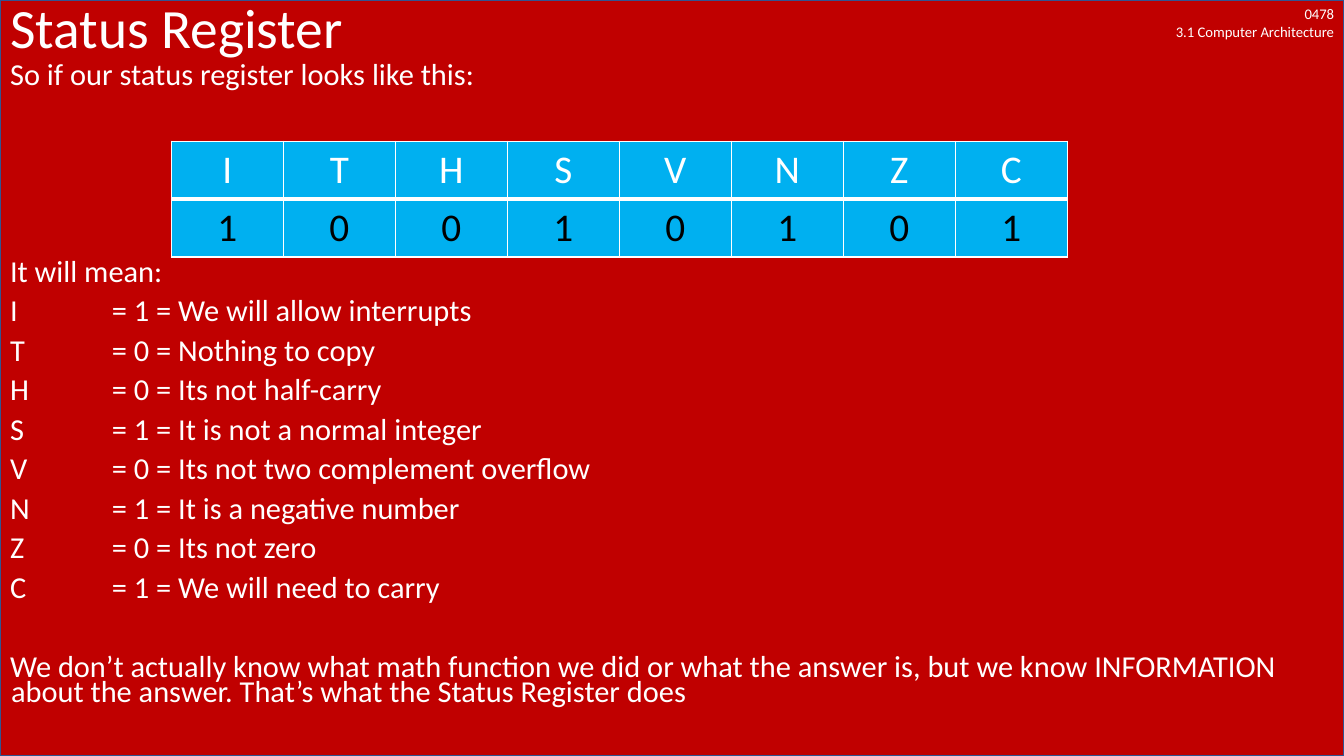
from dataclasses import dataclass

from lxml import etree
from pptx import Presentation
from pptx.dml.color import RGBColor
from pptx.enum.shapes import MSO_SHAPE
from pptx.enum.text import MSO_ANCHOR, MSO_AUTO_SIZE, PP_ALIGN
from pptx.oxml.ns import qn
from pptx.util import Inches, Pt

RECTANGLE = MSO_SHAPE.RECTANGLE
MIDDLE, TOP = MSO_ANCHOR.MIDDLE, MSO_ANCHOR.TOP
NO_AUTOSIZE = MSO_AUTO_SIZE.NONE
LEFT, CENTER, RIGHT = PP_ALIGN.LEFT, PP_ALIGN.CENTER, PP_ALIGN.RIGHT

RED = RGBColor(0xC0, 0x00, 0x00)
NAVY = RGBColor(0x32, 0x54, 0x91)
SKY = RGBColor(0x00, 0xB0, 0xF0)
WHITE = RGBColor(0xFF, 0xFF, 0xFF)
BLACK = RGBColor(0x00, 0x00, 0x00)

FONT = "Calibri"
WIDTH, HEIGHT = Inches(13.33), Inches(7.5)
COLUMN, ROW = WIDTH / 120, HEIGHT / 75
HANGING = Inches(0.01)
MEANING_TAB = Inches(1)
HEADER_BORDERS = {"lnL": 1, "lnR": 1, "lnT": 1, "lnB": 3}
VALUE_BORDERS = {"lnL": 1, "lnR": 1, "lnT": 1, "lnB": 1}


@dataclass(frozen=True)
class Area:
    """Position and size in grid columns and rows."""
    column: float
    row: float
    columns: float
    rows: float

    def box(self) -> tuple[int, int, int, int]:
        return (round(self.column * COLUMN), round(self.row * ROW),
                round(self.columns * COLUMN), round(self.rows * ROW))


@dataclass(frozen=True)
class Flag:
    letter: str
    value: int
    meaning: str


@dataclass(frozen=True)
class BodyLine:
    text: str
    space_before: float = 10


FLAGS = [
    Flag("I", 1, "We will allow interrupts"),
    Flag("T", 0, "Nothing to copy"),
    Flag("H", 0, "Its not half-carry"),
    Flag("S", 1, "It is not a normal integer"),
    Flag("V", 0, "Its not two complement overflow"),
    Flag("N", 1, "It is a negative number"),
    Flag("Z", 0, "Its not zero"),
    Flag("C", 1, "We will need to carry"),
]
BODY_LINES = [
    BodyLine("So if our status register looks like this:", 0),
    BodyLine("It will mean:", 122),
    *(BodyLine(f"{flag.letter} \t= {flag.value} = {flag.meaning}") for flag in FLAGS),
    BodyLine("We don’t actually know what math function we did or what the answer is, "
             "but we know INFORMATION about the answer. "
             "That’s what the Status Register does", 38),
]

SLIDE_AREA = Area(0, 0, 120, 75)
LABEL_AREA = Area(101.1, 0, 18.9, 4.5)
TITLE_AREA = Area(0, 0, 120, 6)
BODY_AREA = Area(0, 6, 120, 69)
TABLE_AREA = Area(15.3, 14, 80, 11.5)


def apply_format(target, values: dict) -> None:
    for name, value in values.items():
        setattr(target, name, value)


def place(shape, area: Area) -> None:
    apply_format(shape, dict(zip(("left", "top", "width", "height"), area.box())))


def write(paragraph, text: str, size: float, color: RGBColor, paragraph_format: dict) -> None:
    apply_format(paragraph, paragraph_format)
    paragraph.text = text
    for run in paragraph.runs:
        apply_format(run.font, {"name": FONT, "size": Pt(size)})
        run.font.color.rgb = color


def set_list_format(paragraph) -> None:
    """Remove the bullet, hang the first line and set the tab for the meanings."""
    properties = paragraph._p.get_or_add_pPr()
    for name, value in {"marL": HANGING, "indent": -HANGING, "defTabSz": MEANING_TAB}.items():
        properties.set(name, str(int(value)))
    etree.SubElement(properties, qn("a:buNone"))
    tabs = etree.SubElement(properties, qn("a:tabLst"))
    etree.SubElement(tabs, qn("a:tab"), pos=str(int(MEANING_TAB)), algn="l")


def set_borders(cell, widths: dict[str, float]) -> None:
    properties = cell._tc.get_or_add_tcPr()
    for position, (side, width) in enumerate(widths.items()):
        line = etree.Element(qn(f"a:{side}"), w=str(int(Pt(width))))
        fill = etree.SubElement(line, qn("a:solidFill"))
        etree.SubElement(fill, qn("a:srgbClr"), val=str(WHITE))
        properties.insert(position, line)


def add_backdrop(slide) -> None:
    backdrop = slide.shapes.add_shape(RECTANGLE, *SLIDE_AREA.box())
    backdrop.shadow.inherit = False
    backdrop.fill.solid()
    backdrop.fill.fore_color.rgb = RED
    backdrop.line.color.rgb = NAVY
    backdrop.line.width = Pt(1)
    slide.shapes.title.element.addprevious(backdrop.element)


def add_course_label(slide) -> None:
    label = slide.shapes.add_textbox(*LABEL_AREA.box())
    label.text_frame.word_wrap = True
    write(label.text_frame.paragraphs[0], "0478\n3.1 Computer Architecture", 10.5, WHITE,
          {"alignment": RIGHT})


def fill_title(slide) -> None:
    title = slide.shapes.title
    place(title, TITLE_AREA)
    apply_format(title.text_frame, {"auto_size": NO_AUTOSIZE, "vertical_anchor": MIDDLE})
    write(title.text_frame.paragraphs[0], "Status Register", 39.6, WHITE,
          {"alignment": LEFT, "line_spacing": 0.9})


def fill_body(slide) -> None:
    body = slide.placeholders[1]
    place(body, BODY_AREA)
    frame = body.text_frame
    apply_format(frame, {"auto_size": NO_AUTOSIZE, "vertical_anchor": TOP})
    for index, line in enumerate(BODY_LINES):
        paragraph = frame.add_paragraph() if index else frame.paragraphs[0]
        set_list_format(paragraph)
        write(paragraph, line.text, 21.7, WHITE,
              {"alignment": LEFT, "line_spacing": 0.7, "space_before": Pt(line.space_before)})


def add_register_table(slide) -> None:
    table = slide.shapes.add_table(2, len(FLAGS), *TABLE_AREA.box()).table
    for column, flag in enumerate(FLAGS):
        entries = ((flag.letter, WHITE, HEADER_BORDERS), (str(flag.value), BLACK, VALUE_BORDERS))
        for row, (text, color, borders) in enumerate(entries):
            cell = table.cell(row, column)
            cell.fill.solid()
            cell.fill.fore_color.rgb = SKY
            set_borders(cell, borders)
            write(cell.text_frame.paragraphs[0], text, 28, color, {"alignment": CENTER})


def main() -> None:
    presentation = Presentation()
    apply_format(presentation, {"slide_width": WIDTH, "slide_height": HEIGHT})
    slide = presentation.slides.add_slide(presentation.slide_layouts[1])
    add_backdrop(slide)
    add_course_label(slide)
    fill_title(slide)
    fill_body(slide)
    add_register_table(slide)
    presentation.save("out.pptx")


if __name__ == "__main__":
    main()
